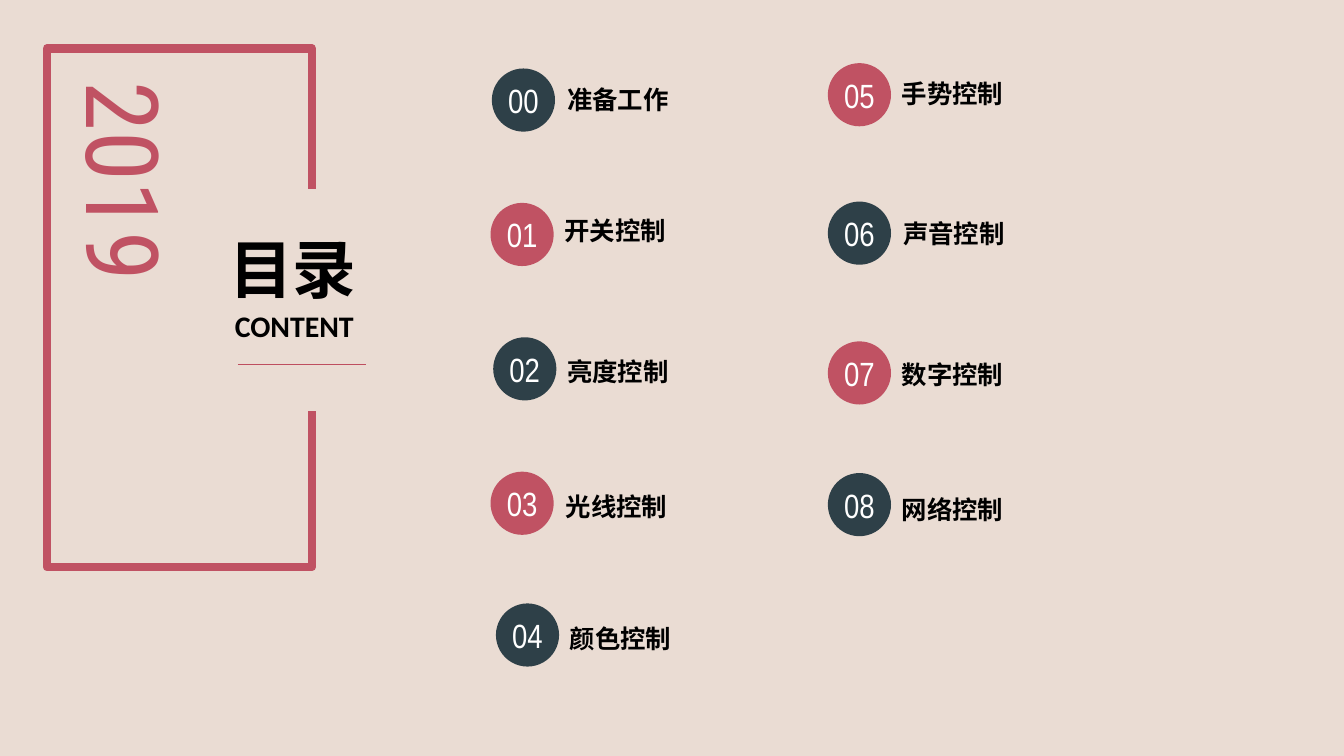
from dataclasses import dataclass

from lxml import etree
from pptx import Presentation
from pptx.dml.color import RGBColor
from pptx.enum.shapes import MSO_CONNECTOR, MSO_SHAPE
from pptx.enum.text import MSO_ANCHOR, MSO_AUTO_SIZE, PP_ALIGN
from pptx.oxml.ns import qn
from pptx.util import Inches, Pt

STRAIGHT = MSO_CONNECTOR.STRAIGHT
OVAL = MSO_SHAPE.OVAL
TOP, MIDDLE, BOTTOM = MSO_ANCHOR.TOP, MSO_ANCHOR.MIDDLE, MSO_ANCHOR.BOTTOM
LEFT, CENTER, JUSTIFY = PP_ALIGN.LEFT, PP_ALIGN.CENTER, PP_ALIGN.JUSTIFY
TITLE_ONLY = 5


@dataclass(frozen=True)
class Theme:
    background: str = "EADCD3"
    rose: str = "C05263"
    rule: str = "BE4E5F"
    slate: str = "2E4048"
    black: str = "000000"
    white: str = "FFFFFF"
    cjk_font: str = "Noto Sans CJK SC"
    label_font: str = "Calibri"
    number_font: str = "Arial Narrow"
    year_font: str = "Roboto Condensed"
    title_size: float = 34.1
    subtitle_size: float = 16
    label_size: float = 13.6
    number_size: float = 18
    year_size: float = 54


THEME = Theme()
SLIDE_WIDTH = 10
SLIDE_HEIGHT = SLIDE_WIDTH * 9 / 16
BADGE_SIZE = 0.47

# label, badge (left, top), label box (left, top)
CHAPTERS = [
    ("准备工作", (3.66, 0.51), (3.83, 0.65)),
    ("开关控制", (3.65, 1.51), (3.81, 1.63)),
    ("亮度控制", (3.67, 2.51), (3.83, 2.68)),
    ("光线控制", (3.65, 3.51), (3.82, 3.68)),
    ("颜色控制", (3.69, 4.49), (3.85, 4.66)),
    ("手势控制", (6.16, 0.47), (6.32, 0.61)),
    ("声音控制", (6.16, 1.50), (6.33, 1.65)),
    ("数字控制", (6.16, 2.54), (6.32, 2.70)),
    ("网络控制", (6.16, 3.52), (6.32, 3.70)),
]


def rgb(color):
    return RGBColor.from_string(color)


def set_text(sp, text, size, font, color, bold=False, align=LEFT,
             anchor=TOP, insets=None):
    tf = sp.text_frame
    tf.text = text
    tf.word_wrap = True
    tf.auto_size = MSO_AUTO_SIZE.NONE
    tf.vertical_anchor = anchor
    if insets:
        (tf.margin_left, tf.margin_top,
         tf.margin_right, tf.margin_bottom) = map(Inches, insets)
    p = tf.paragraphs[0]
    p.alignment = align
    r = p.runs[0]
    r.font.size = Pt(size)
    r.font.name = font
    r.font.bold = bold
    r.font.color.rgb = rgb(color)
    latin = r.font._element.find(qn("a:latin"))
    east_asian = etree.Element(qn("a:ea"), typeface=THEME.cjk_font)
    latin.addnext(east_asian)


def add_text(slide, box, text, size, font, color, **style):
    sp = slide.shapes.add_textbox(*map(Inches, box))
    set_text(sp, text, size, font, color, **style)
    return sp


def add_title(slide):
    title = slide.shapes.title
    title.left, title.top, title.width, title.height = map(
        Inches, (1.6, 1.66, 1.16, 0.63))
    set_text(title, "目录", THEME.title_size, THEME.cjk_font, THEME.black,
             bold=True, align=CENTER)
    add_text(slide, (1.45, 2.24, 1.48, 0.25), "CONTENT", THEME.subtitle_size,
             THEME.label_font, THEME.black, bold=True, align=CENTER)


def add_rule(slide):
    line = slide.shapes.add_connector(
        STRAIGHT, Inches(1.77), Inches(2.71), Inches(2.72), Inches(2.71))
    line.line.color.rgb = rgb(THEME.rule)
    line.line.width = Pt(0.75)
    etree.SubElement(line._element.spPr, qn("a:effectLst"))


def add_frame(slide):
    """Draw the frame that opens on its right side around the title."""
    left, top, right, bottom = 0.35, 0.36, 2.32, 4.22
    points = [(right, bottom), (left, bottom), (left, top), (right, top),
              (right, 1.41)]
    builder = slide.shapes.build_freeform(
        Inches(right), Inches(3.06), scale=1.0)
    builder.add_line_segments(
        [(Inches(x), Inches(y)) for x, y in points], close=False)
    frame = builder.convert_to_shape()
    frame.shadow.inherit = False
    frame.fill.background()
    frame.line.color.rgb = rgb(THEME.rose)
    frame.line.width = Pt(4.5)
    etree.SubElement(frame.line._get_or_add_ln(), qn("a:round"))


def add_year(slide):
    year = add_text(slide, (-0.76, 1.7, 3.39, 1.01), "2019", THEME.year_size,
                    THEME.year_font, THEME.rose, align=JUSTIFY)
    year.rotation = 90


def add_chapter(slide, number, label, badge_at, label_at):
    add_text(slide, (*label_at, 3.25, 0.2), label, THEME.label_size,
             THEME.label_font, THEME.black, bold=True, anchor=BOTTOM,
             insets=(0.39, 0, 0, 0))
    badge = slide.shapes.add_shape(
        OVAL, *map(Inches, (*badge_at, BADGE_SIZE, BADGE_SIZE)))
    badge.shadow.inherit = False
    badge.fill.solid()
    badge.fill.fore_color.rgb = rgb(THEME.rose if number % 2 else THEME.slate)
    badge.line.fill.background()
    set_text(badge, f"{number:02d}", THEME.number_size, THEME.number_font,
             THEME.white, align=CENTER, anchor=MIDDLE, insets=(0, 0, 0, 0))


def main():
    prs = Presentation()
    prs.slide_width, prs.slide_height = Inches(SLIDE_WIDTH), Inches(SLIDE_HEIGHT)
    slide = prs.slides.add_slide(prs.slide_layouts[TITLE_ONLY])
    slide.background.fill.solid()
    slide.background.fill.fore_color.rgb = rgb(THEME.background)

    add_title(slide)
    add_rule(slide)
    add_year(slide)
    add_frame(slide)
    for number, (label, badge_at, label_at) in enumerate(CHAPTERS):
        add_chapter(slide, number, label, badge_at, label_at)

    prs.save("out.pptx")


if __name__ == "__main__":
    main()
